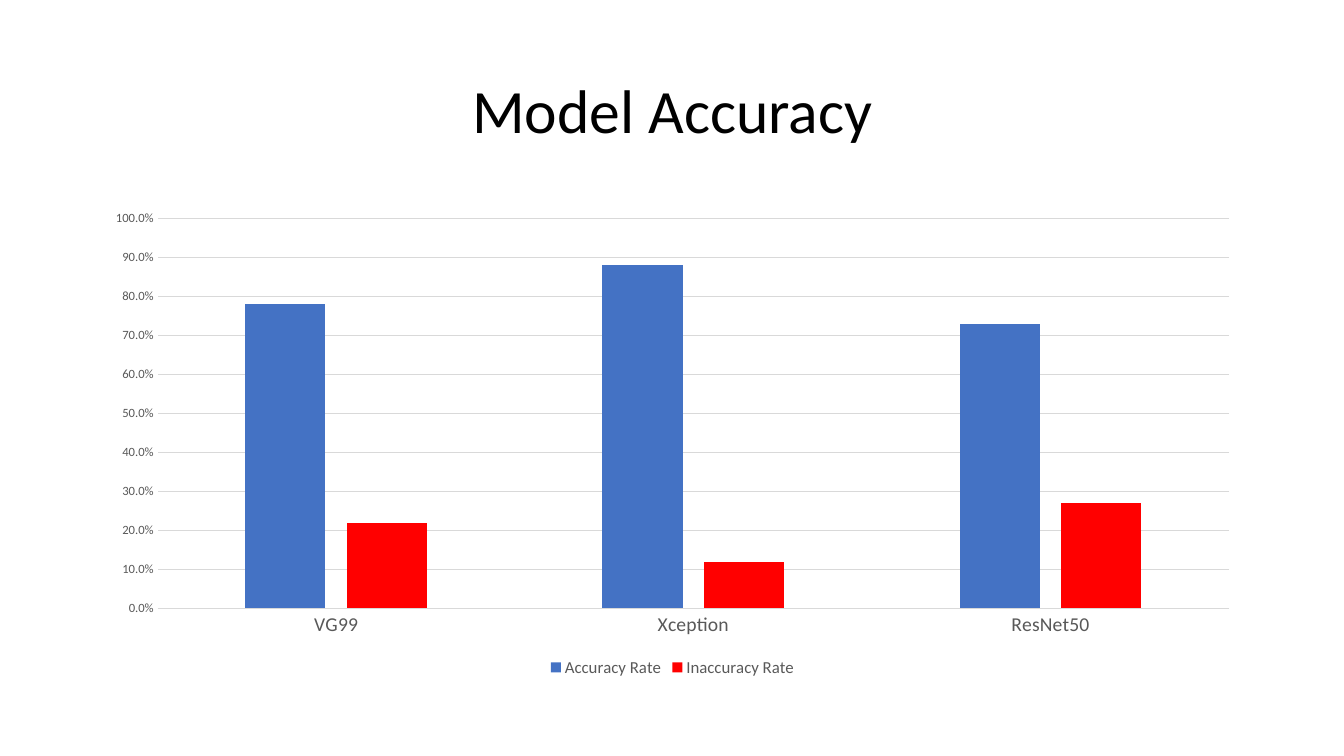
from dataclasses import dataclass

from pptx import Presentation
from pptx.chart.data import CategoryChartData
from pptx.dml.color import RGBColor
from pptx.enum.chart import XL_CHART_TYPE, XL_LEGEND_POSITION, XL_TICK_MARK
from pptx.enum.text import MSO_ANCHOR, PP_ALIGN
from pptx.util import Inches, Pt

CLUSTERED = XL_CHART_TYPE.COLUMN_CLUSTERED
LEGEND_BOTTOM = XL_LEGEND_POSITION.BOTTOM
NO_TICK = XL_TICK_MARK.NONE
MIDDLE = MSO_ANCHOR.MIDDLE
CENTER = PP_ALIGN.CENTER
TITLE_ONLY = 5


@dataclass(frozen=True)
class Theme:
    """Colours, font and type sizes of the slide."""
    font: str = "Calibri"
    ink: str = "000000"
    label: str = "595959"
    rule: str = "D9D9D9"
    accuracy: str = "4472C4"
    inaccuracy: str = "FF0000"
    title_size: float = 44
    chart_size: float = 10
    model_size: float = 14
    rate_size: float = 9
    legend_size: float = 12
    rule_width: float = 0.75


THEME = Theme()
MODELS = ("VG99", "Xception", "ResNet50")
RATES = (
    ("Accuracy Rate", (0.78, 0.88, 0.73), THEME.accuracy),
    ("Inaccuracy Rate", (0.22, 0.12, 0.27), THEME.inaccuracy),
)


def style_font(font, size, color):
    """Apply the theme font with a size and a colour."""
    font.name = THEME.font
    font.size = Pt(size)
    font.color.rgb = RGBColor.from_string(color)


def style_rule(line):
    """Draw a line as a thin theme rule."""
    line.color.rgb = RGBColor.from_string(THEME.rule)
    line.width = Pt(THEME.rule_width)


def style_axis(axis, size):
    """Remove the tick marks and set the label type."""
    axis.major_tick_mark = axis.minor_tick_mark = NO_TICK
    style_font(axis.tick_labels.font, size, THEME.label)


def place_title(slide, text, left, top, width, height):
    """Fill the title placeholder and fit it to its box."""
    title = slide.shapes.title
    title.left, title.top, title.width, title.height = left, top, width, height
    title.text_frame.text = text
    title.text_frame.vertical_anchor = MIDDLE
    heading = title.text_frame.paragraphs[0]
    heading.alignment = CENTER
    heading.line_spacing = 0.9
    style_font(heading.font, THEME.title_size, THEME.ink)


def place_rates_chart(slide, left, top, width, height):
    """Add the column chart of rates per model in its box."""
    data = CategoryChartData(number_format="0.0%")
    data.categories = MODELS
    for name, values, _ in RATES:
        data.add_series(name, values)
    chart = slide.shapes.add_chart(CLUSTERED, left, top, width, height, data).chart
    style_font(chart.font, THEME.chart_size, THEME.ink)
    chart.has_title = False

    plot = chart.plots[0]
    plot.gap_width, plot.overlap = 219, -27
    plot.vary_by_categories = False
    for series, (_, _, color) in zip(plot.series, RATES):
        series.invert_if_negative = False
        series.format.fill.solid()
        series.format.fill.fore_color.rgb = RGBColor.from_string(color)

    model_axis, rate_axis = chart.category_axis, chart.value_axis
    style_axis(model_axis, THEME.model_size)
    style_rule(model_axis.format.line)
    style_axis(rate_axis, THEME.rate_size)
    rate_axis.format.line.fill.background()
    rate_axis.has_major_gridlines = True
    style_rule(rate_axis.major_gridlines.format.line)
    rate_axis.minimum_scale, rate_axis.maximum_scale = 0, 1
    rate_axis.major_unit = 0.1
    rate_axis.tick_labels.number_format = "0.0%"
    rate_axis.tick_labels.number_format_is_linked = False

    chart.has_legend = True
    chart.legend.position = LEGEND_BOTTOM
    chart.legend.include_in_layout = False
    style_font(chart.legend.font, THEME.legend_size, THEME.label)


def build_accuracy_slide(deck):
    """Add the slide with its title above the rates chart."""
    slide = deck.slides.add_slide(deck.slide_layouts[TITLE_ONLY])
    left, width = Inches(0.92), Inches(11.5)
    place_title(slide, "Model Accuracy", left, Inches(0.4), width, Inches(1.45))
    place_rates_chart(slide, left, Inches(2), width, Inches(4.76))


deck = Presentation()
deck.slide_width, deck.slide_height = Inches(13.33), Inches(7.5)
build_accuracy_slide(deck)
deck.save("out.pptx")
